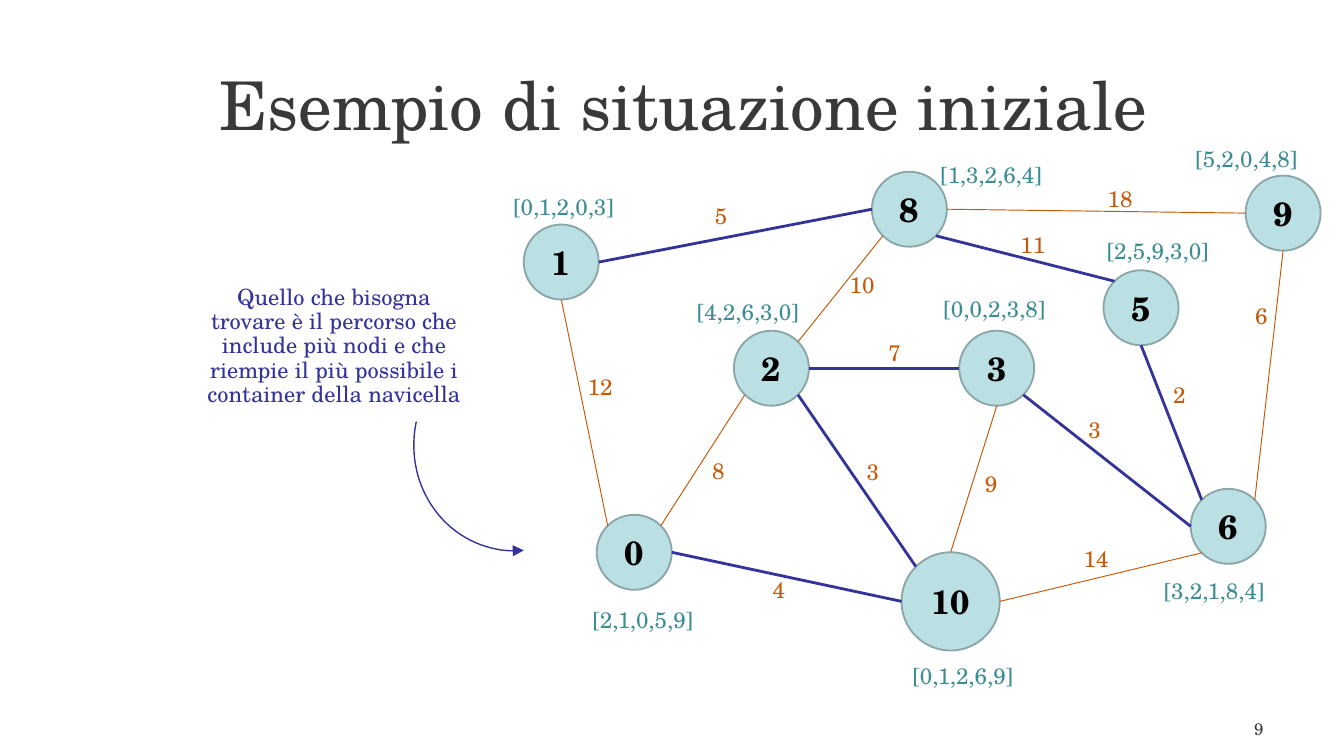
from math import cos, radians, sin

from lxml import etree
from pptx import Presentation
from pptx.dml.color import RGBColor
from pptx.enum.shapes import MSO_CONNECTOR, MSO_SHAPE
from pptx.enum.text import MSO_ANCHOR, PP_ALIGN
from pptx.oxml.ns import qn
from pptx.util import Pt

LEFT, CENTER, RIGHT = PP_ALIGN.LEFT, PP_ALIGN.CENTER, PP_ALIGN.RIGHT
TOP, MIDDLE = MSO_ANCHOR.TOP, MSO_ANCHOR.MIDDLE
STRAIGHT = MSO_CONNECTOR.STRAIGHT
OVAL, ARC = MSO_SHAPE.OVAL, MSO_SHAPE.ARC

THEME = {
    "font": "TeX Gyre Schola",
    "dark": "38393B", "black": "000000", "path": "333399", "edge": "C75806",
    "load": "3C8C93", "node": "BBE0E3", "outline": "8AA6A8",
    "title_size": 36, "node_size": 18, "label_size": 12, "page_size": 9,
}

# Content
TITLE = "Esempio di situazione iniziale"
NOTE = ("Quello che bisogna trovare è il percorso che include più nodi "
        "e che riempie il più possibile i container della navicella")
PAGE_NUMBER = "9"

# node: (centre, diameter, load, load centre)
NODES = {
    "0": ((339.8, 295.9), 40.2, "[2,1,0,5,9]", (344.5, 334.1)),
    "2": ((413.3, 197.3), 40.2, "[4,2,6,3,0]", (400.7, 169.2)),
    "3": ((534, 197.3), 40.2, "[0,0,2,3,8]", (532.8, 167.8)),
    "5": ((611.3, 164.9), 40.2, "[2,5,9,3,0]", (620.3, 136.8)),
    "9": ((687.4, 114.2), 40.2, "[5,2,0,4,8]", (667.8, 87.1)),
    "8": ((487.2, 112.1), 40.2, "[1,3,2,6,4]", (531, 95.8)),
    "1": ((300.7, 140.4), 40.2, "[0,1,2,0,3]", (302, 113)),
    "6": ((658, 282), 40.2, "[3,2,1,8,4]", (650.5, 319)),
    "10": ((509.3, 322.2), 52.6, "[0,1,2,6,9]", (515.9, 364.3)),
}

# (from, side, to, side, weight, weight centre, on the path)
EDGES = [
    ("0", "NW", "1", "S", "12", (321.5, 209.5), False),
    ("0", "NE", "2", "SW", "8", (384.8, 254.2), False),
    ("3", "S", "10", "N", "9", (531, 261.4), False),
    ("8", "SW", "2", "NE", "10", (461.9, 154.8), False),
    ("6", "NE", "9", "S", "6", (675.7, 171.4), False),
    ("8", "E", "9", "W", "18", (600.1, 108.7), False),
    ("10", "E", "6", "SW", "14", (587.2, 301.7), False),
    ("0", "E", "10", "W", "4", (417.2, 318.2), True),
    ("2", "SE", "10", "NW", "3", (467.6, 254.9), True),
    ("2", "E", "3", "W", "7", (479.2, 191.5), True),
    ("3", "SE", "6", "W", "3", (586.4, 232.6), True),
    ("5", "S", "6", "NW", "2", (631.8, 213.8), True),
    ("8", "SE", "5", "NW", "11", (553.3, 133.2), True),
    ("1", "E", "8", "W", "5", (386.3, 118.1), True),
]
SIDES = ["E", "SE", "S", "SW", "W", "NW", "N", "NE"]  # 45° steps, clockwise


def color(name):
    return RGBColor.from_string(THEME[name])


def write(shape, text, size, ink, align, anchor=TOP, bold=False, spacing=None):
    frame = shape.text_frame
    frame.text = text
    frame.word_wrap = True
    frame.vertical_anchor = anchor
    para = frame.paragraphs[0]
    para.alignment = align
    para.line_spacing = spacing
    font = para.runs[0].font
    font.name, font.size, font.bold = THEME["font"], Pt(THEME[size]), bold
    font.color.rgb = color(ink)


def add_text(slide, box, *style, **options):
    write(slide.shapes.add_textbox(*map(Pt, box)), *style, **options)


def add_label(slide, text, center, width, ink):
    height = 23
    box = (center[0] - width / 2, center[1] - height / 2, width, height)
    add_text(slide, box, text, "label_size", ink, CENTER, spacing=0.9)


def rim_point(node, side):
    (x, y), diameter = NODES[node][:2]
    angle = radians(45 * SIDES.index(side))
    return Pt(x + diameter / 2 * cos(angle)), Pt(y + diameter / 2 * sin(angle))


def add_edge(slide, start, start_side, end, end_side, on_path):
    line = slide.shapes.add_connector(
        STRAIGHT, *rim_point(start, start_side), *rim_point(end, end_side))
    line.line.color.rgb = color("path" if on_path else "edge")
    line.line.width = Pt(1.5 if on_path else 0.5)
    etree.SubElement(line._element.spPr, qn("a:effectLst"))


def add_node(slide, name, center, diameter):
    x, y = center
    node = slide.shapes.add_shape(OVAL, Pt(x - diameter / 2), Pt(y - diameter / 2),
                                  Pt(diameter), Pt(diameter))
    node.shadow.inherit = False
    node.fill.solid()
    node.fill.fore_color.rgb = color("node")
    node.line.color.rgb = color("outline")
    node.line.width = Pt(1)
    write(node, name, "node_size", "black", CENTER, MIDDLE, bold=True)
    node.text_frame.word_wrap = False


def add_curved_arrow(slide):
    arc = slide.shapes.add_shape(ARC, Pt(221.8), Pt(179.3), Pt(110.2), Pt(115.9))
    arc.rotation = 193
    arc.adjustments[0], arc.adjustments[1] = 152.01, 215.33
    arc.shadow.inherit = False
    arc.fill.background()
    arc.line.color.rgb = color("path")
    arc.line.width = Pt(0.75)
    etree.SubElement(arc.line._get_or_add_ln(), qn("a:headEnd"), type="triangle")


def main():
    deck = Presentation()
    deck.slide_width, deck.slide_height = Pt(720), Pt(405)
    slide = deck.slides.add_slide(deck.slide_layouts[5])

    # Title
    title = slide.shapes.title
    title.left, title.top, title.width, title.height = map(Pt, (110.2, 19.4, 578.2, 72))
    write(title, TITLE, "title_size", "dark", LEFT, MIDDLE)

    # Note with its arrow, and page number
    add_text(slide, (103, 149.8, 151.9, 54.7), NOTE, "label_size", "path", CENTER,
             spacing=0.9)
    add_curved_arrow(slide)
    add_text(slide, (516.2, 381.6, 167.8, 15.8), PAGE_NUMBER, "page_size", "dark", RIGHT)

    # Graph: nodes, edges, then their labels
    for name, (center, diameter, _, _) in NODES.items():
        add_node(slide, name, center, diameter)
    for *ends, _, _, on_path in EDGES:
        add_edge(slide, *ends, on_path)
    for *_, weight, center, _ in EDGES:
        add_label(slide, weight, center, 35.3, "edge")
    for _, _, load, center in NODES.values():
        add_label(slide, load, center, 72, "load")

    deck.save("out.pptx")


if __name__ == "__main__":
    main()
